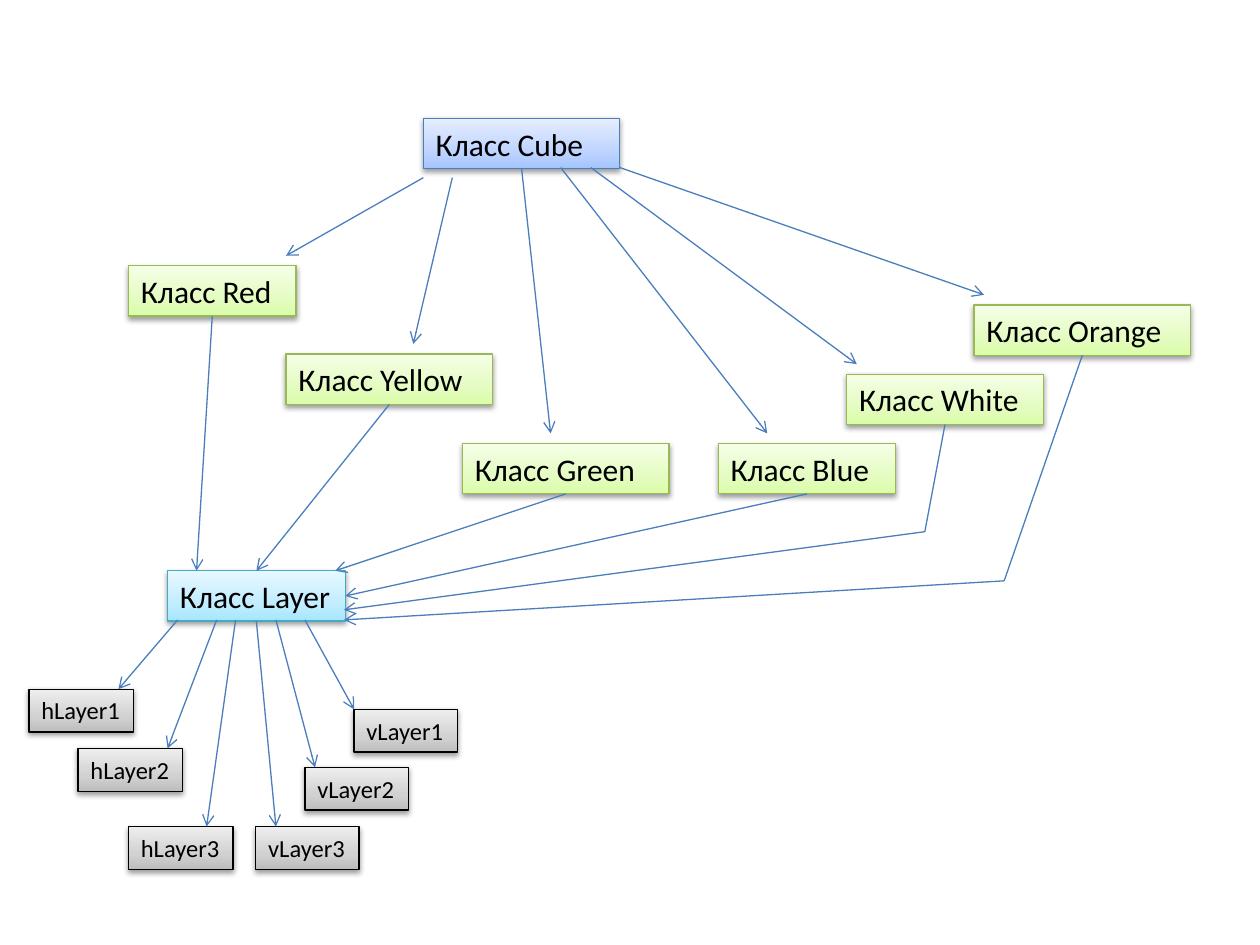
"""Build a class diagram slide: Cube, its colours, Layer and its layers."""
from copy import deepcopy

from lxml import etree
from pptx import Presentation
from pptx import util as u
from pptx.dml.color import RGBColor
from pptx.enum import shapes, text
from pptx.oxml.ns import qn

STYLES = {
    "cube": {"stops": ("A4C4FF", "BFD4FF", "E6EEFF"), "line": "4B7EBC",
             "size": 18, "height": 0.4, "wrap": True},
    "colour": {"stops": ("DAFDA7", "E4FCC2", "F5FFE7"), "line": "98B955",
               "size": 18, "height": 0.4, "wrap": True},
    "layer": {"stops": ("A7E6FF", "C1EDFF", "E7F8FF"), "line": "46AAC5",
              "size": 18, "height": 0.4, "wrap": False},
    "part": {"stops": ("BDBDBD", "D1D1D1", "EEEEEE"), "line": "000000",
             "size": 14, "height": 0.34, "wrap": False},
}
BOXES = [
    ("Класс Cube", "cube", 3.36, 0.94, 1.56),
    ("Класс Red", "colour", 1.02, 2.11, 1.33),
    ("Класс Yellow", "colour", 2.27, 2.81, 1.64),
    ("Класс Green", "colour", 3.67, 3.52, 1.64),
    ("Класс Blue", "colour", 5.7, 3.52, 1.41),
    ("Класс White", "colour", 6.72, 2.97, 1.56),
    ("Класс Orange", "colour", 7.73, 2.42, 1.72),
    ("Класс Layer", "layer", 1.33, 4.53, 1.41),
    ("hLayer1", "part", 0.23, 5.47, 0.83),
    ("hLayer2", "part", 0.62, 5.94, 0.83),
    ("hLayer3", "part", 1.02, 6.56, 0.83),
    ("vLayer1", "part", 2.81, 5.63, 0.82),
    ("vLayer2", "part", 2.42, 6.09, 0.82),
    ("vLayer3", "part", 2.03, 6.56, 0.82),
]
TOP, BOTTOM, RIGHT = 0, 2, 3
ROUTES = [
    [(3.36, 1.41), (2.27, 2.03)],
    [(3.59, 1.41), (3.28, 2.73)],
    [("Класс Cube", BOTTOM), (4.37, 3.44)],
    [(4.45, 1.33), (6.09, 3.44)],
    [(4.69, 1.33), (6.8, 2.89)],
    [(4.92, 1.33), (7.81, 2.34)],
    [("Класс Red", BOTTOM), (1.56, 4.53)],
    [("Класс Yellow", BOTTOM), ("Класс Layer", TOP)],
    [("Класс Green", BOTTOM), (2.66, 4.53)],
    [("Класс Blue", BOTTOM), ("Класс Layer", RIGHT)],
    [("Класс White", BOTTOM), (7.34, 4.22), (2.73, 4.84)],
    [("Класс Orange", BOTTOM), (7.97, 4.61), (2.73, 4.92)],
    [(1.41, 4.92), (0.94, 5.47)],
    [(1.72, 4.92), (1.33, 5.94)],
    [(1.87, 4.92), (1.64, 6.56)],
    [("Класс Layer", BOTTOM), (2.19, 6.56)],
    [(2.19, 4.92), (2.5, 6.09)],
    [(2.42, 4.92), (2.81, 5.63)],
]


def rgb(value):
    """Return the colour for a hex string."""
    return RGBColor.from_string(value)


def set_all(obj, values):
    """Set each attribute named in a dict."""
    for name, value in values.items():
        setattr(obj, name, value)


def set_line(line, colour):
    """Give an outline its colour and width."""
    line.color.rgb = rgb(colour)
    line.width = u.Pt(0.75)


def set_gradient(sp, colours):
    """Fill a shape with a three-stop gradient rising from the bottom."""
    sp.fill.gradient()
    sp.fill.gradient_angle = 90
    first = sp._element.spPr.find(".//" + qn("a:gs"))
    first.addnext(deepcopy(first))
    for stop, position, colour in zip(sp.fill.gradient_stops, (0, 0.35, 1), colours):
        stop.position = position
        stop.color.rgb = rgb(colour)


def set_shadow(sp):
    """Give a shape a soft shadow below it."""
    sp.shadow.inherit = False
    effects = sp._element.spPr.find(qn("a:effectLst"))
    shadow = etree.SubElement(effects, qn("a:outerShdw"), blurRad="40000",
                              dist="20000", dir="5400000", rotWithShape="0")
    colour = etree.SubElement(shadow, qn("a:srgbClr"), val="000000")
    etree.SubElement(colour, qn("a:alpha"), val="38000")


def add_box(s, label, style, left, top, width):
    """Add a labelled rectangle in one of the styles."""
    look = STYLES[style]
    sp = s.shapes.add_shape(shapes.MSO_SHAPE.RECTANGLE, u.Inches(left), u.Inches(top),
                            u.Inches(width), u.Inches(look["height"]))
    set_gradient(sp, look["stops"])
    set_line(sp.line, look["line"])
    set_shadow(sp)
    tf = sp.text_frame
    set_all(tf, {"word_wrap": look["wrap"],
                 "auto_size": text.MSO_AUTO_SIZE.SHAPE_TO_FIT_TEXT,
                 "vertical_anchor": text.MSO_ANCHOR.TOP})
    p = tf.paragraphs[0]
    p.alignment = text.PP_ALIGN.LEFT
    r = p.add_run()
    r.text = label
    set_all(r.font, {"name": "Calibri", "size": u.Pt(look["size"])})
    r.font.color.rgb = rgb("000000")
    return sp


def add_link(s, boxes, start, end, arrow):
    """Draw a line between two ends, each a point or a box side."""
    points = [(0, 0) if end_[0] in boxes else end_ for end_ in (start, end)]
    c = s.shapes.add_connector(shapes.MSO_CONNECTOR.STRAIGHT,
                               *(u.Inches(v) for point in points for v in point))
    for (name, side), connect in ((start, c.begin_connect), (end, c.end_connect)):
        if name in boxes:
            connect(boxes[name], side)
    set_line(c.line, "4B7EBC")
    if arrow:
        etree.SubElement(c.line._get_or_add_ln(), qn("a:tailEnd"), type="arrow")
    etree.SubElement(c._element.spPr, qn("a:effectLst"))


def add_route(s, boxes, stops):
    """Draw a chain of lines with an arrowhead at its end."""
    last = len(stops) - 2
    for i, (start, end) in enumerate(zip(stops, stops[1:])):
        add_link(s, boxes, start, end, i == last)


def main():
    """Build and save the slide."""
    prs = Presentation()
    set_all(prs, {"slide_width": u.Inches(10), "slide_height": u.Inches(7.5)})
    s = prs.slides.add_slide(prs.slide_layouts[6])
    boxes = {box[0]: add_box(s, *box) for box in BOXES}
    for stops in ROUTES:
        add_route(s, boxes, stops)
    prs.save("out.pptx")


if __name__ == "__main__":
    main()
